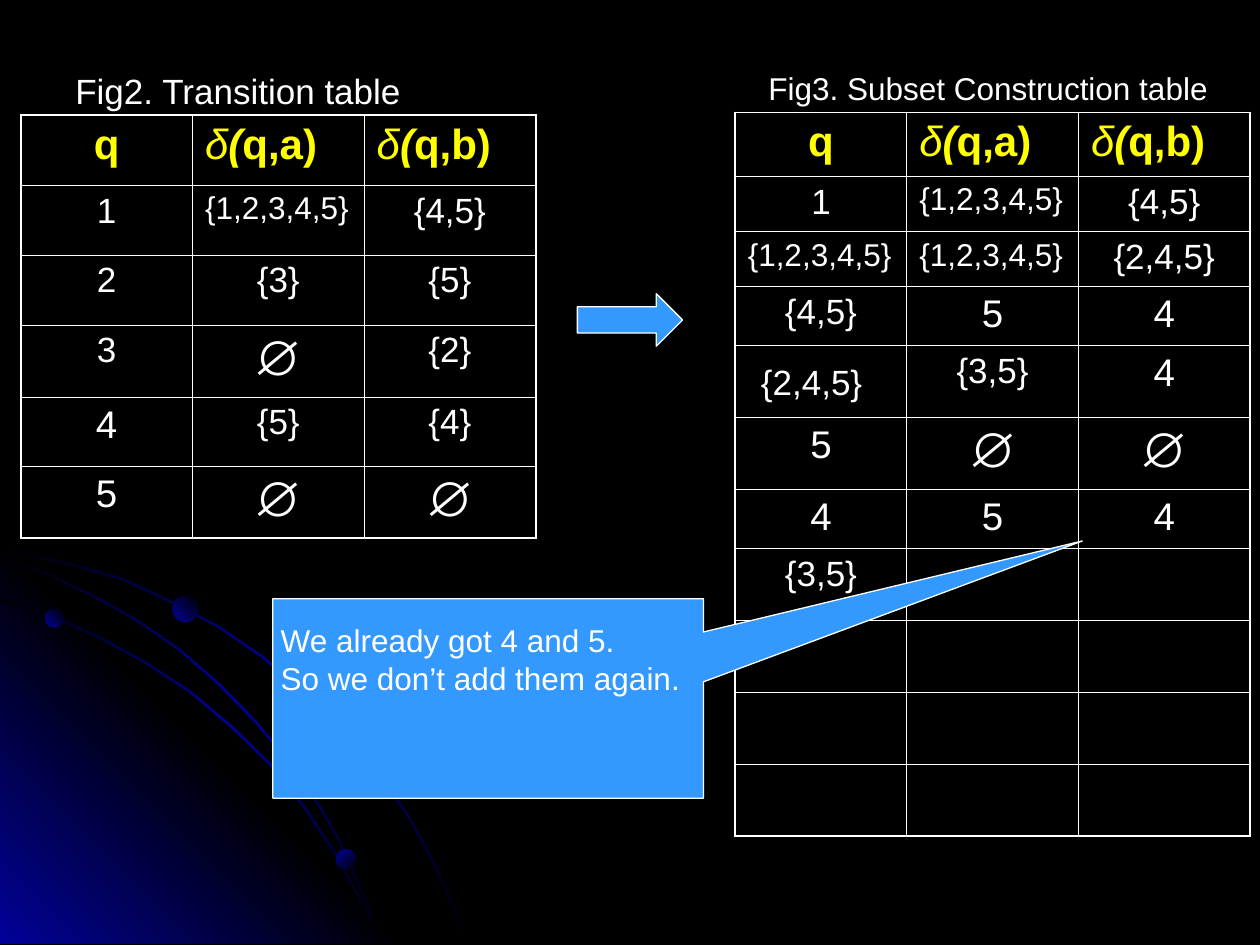
from lxml import etree
from pptx import Presentation
from pptx import util as u
from pptx.dml.color import RGBColor
from pptx.enum import shapes, text
from pptx.oxml import ns

COLORS = {"night": "000000", "glow": "010199", "ink": "FFFFFF",
          "heading": "FFFF00", "accent": "3399FF"}
FONT = "Arial"
GRID = u.Cm(0.0254)
COLUMN = 3.46
EMPTY = "∅"
FULL_SET = "{1,2,3,4,5}"
ENTRY_SIZES = {FULL_SET: 18, EMPTY: 28, "4": 22, "5": 22}
HEADINGS = ["q", "δ(q,a)", "δ(q,b)"]

TRANSITIONS = [
    ["1", FULL_SET, "{4,5}"],
    ["2", "{3}", "{5}"],
    ["3", EMPTY, "{2}"],
    ["4", "{5}", "{4}"],
    ["5", EMPTY, EMPTY],
]
SUBSETS = [
    ["1", FULL_SET, "{4,5}"],
    [FULL_SET, FULL_SET, "{2,4,5}"],
    ["{4,5}", "5", "4"],
    ["{2,4,5}", "{3,5}", "4"],
    ["5", EMPTY, EMPTY],
    ["4", "5", "4"],
    ["{3,5}", "", ""],
] + [["", "", ""]] * 3

OUTER_ARC = [(0, 435), (28, 441), (57, 447), (98, 459), (136, 477), (174, 497),
             (209, 521), (242, 548), (272, 578), (300, 611), (325, 648),
             (339, 673), (352, 698), (362, 723), (372, 749)]
LOWER_ARC = [(0, 475), (41, 488), (79, 505), (117, 526), (152, 549), (184, 576),
             (215, 606), (242, 640), (266, 676), (286, 712), (296, 730), (303, 749)]
MIDDLE_ARC = [(0, 442), (39, 455), (76, 473), (111, 493), (144, 516), (175, 543),
              (204, 573), (229, 603), (254, 639), (269, 665), (282, 693),
              (294, 720), (303, 749)]


def rgb(name):
    return RGBColor.from_string(COLORS[name])


def apply_format(target, values):
    for name, value in values.items():
        setattr(target, name, value)


def add_run(paragraph, words, size, color="ink", **extra):
    run = paragraph.add_run()
    run.text = words
    apply_format(run.font, {"name": FONT, "size": u.Pt(size), **extra})
    run.font.color.rgb = rgb(color)


def fade(shape, stops, angle):
    shape.shadow.inherit = False
    shape.line.fill.background()
    shape.fill.gradient()
    shape.fill.gradient_angle = 360 - angle
    stop_list = shape.element.spPr.find(".//" + ns.qn("a:gsLst"))
    for old_stop in list(stop_list):
        stop_list.remove(old_stop)
    for index, name in enumerate(stops):
        position = 100000 * index // (len(stops) - 1)
        stop = etree.SubElement(stop_list, ns.qn("a:gs"), pos=str(position))
        etree.SubElement(stop, ns.qn("a:srgbClr"), val=COLORS[name])


def add_outline(slide, points, stops, angle):
    builder = slide.shapes.build_freeform(*points[0], scale=GRID)
    builder.add_line_segments(points[1:], close=True)
    fade(builder.convert_to_shape(), stops, angle)


def add_arc(slide, edge):
    last = len(edge) - 1
    inner = [(x - 2 * i / last, y + 2 - 2 * i / last) for i, (x, y) in enumerate(edge)]
    add_outline(slide, edge + inner[::-1], ["night", "glow", "night"], 225)


def add_orbits(slide):
    add_arc(slide, OUTER_ARC)
    add_outline(slide, [(0, 427), (322, 749), (0, 749)], ["glow", "night", "glow"], 135)
    add_arc(slide, LOWER_ARC)
    add_arc(slide, MIDDLE_ARC)
    for left, top, size, angle in [(0.91, 12.27, 0.38, 135), (6.78, 17.12, 0.41, 225),
                                   (3.48, 12.01, 0.53, 135)]:
        planet = slide.shapes.add_shape(shapes.MSO_SHAPE.OVAL, u.Cm(left), u.Cm(top),
                                        u.Cm(size), u.Cm(size))
        fade(planet, ["night", "glow"], angle)


def add_text(slide, box, lines, size, wrap=False):
    frame = slide.shapes.add_textbox(*map(u.Cm, box)).text_frame
    fit = text.MSO_AUTO_SIZE
    apply_format(frame, {"word_wrap": wrap,
                         "auto_size": fit.NONE if wrap else fit.SHAPE_TO_FIT_TEXT})
    for index, line in enumerate(lines):
        paragraph = frame.add_paragraph() if index else frame.paragraphs[0]
        add_run(paragraph, line, size)


def add_accent(slide, kind, box, adjustments, rotation=0):
    shape = slide.shapes.add_shape(kind, *map(u.Cm, box))
    shape.rotation = rotation
    for index, value in enumerate(adjustments):
        shape.adjustments[index] = value
    shape.shadow.inherit = False
    shape.fill.solid()
    shape.fill.fore_color.rgb = rgb("accent")
    shape.line.color.rgb = rgb("ink")
    shape.line.width = u.Pt(0.75)


def draw_borders(cell, outer_sides):
    properties = cell._tc.get_or_add_tcPr()
    for side in "LRTB":
        width = u.Pt(1.08 if outer_sides[side] else 0.45)
        line = etree.SubElement(properties, ns.qn("a:ln" + side), w=str(int(width)))
        fill = etree.SubElement(line, ns.qn("a:solidFill"))
        etree.SubElement(fill, ns.qn("a:srgbClr"), val=COLORS["ink"])
    cell.fill.background()


def write_heading(paragraph, words):
    if words.startswith("δ"):
        add_run(paragraph, "δ", 24, "heading", italic=True)
        add_run(paragraph, "(", 24, "heading", bold=True, italic=True)
        words = words[2:]
    else:
        paragraph.alignment = text.PP_ALIGN.CENTER
    add_run(paragraph, words, 24, "heading", bold=True)


def write_entry(paragraph, words):
    if words != FULL_SET:
        paragraph.alignment = text.PP_ALIGN.CENTER
    if words:
        add_run(paragraph, words, ENTRY_SIZES.get(words, 20))


def add_state_table(slide, left, top, entries, heights):
    rows = [HEADINGS] + entries
    frame = slide.shapes.add_table(len(rows), 3, u.Cm(left), u.Cm(top),
                                   u.Cm(3 * COLUMN), u.Cm(sum(heights)))
    table = frame.table
    apply_format(table, {"first_row": False, "horz_banding": False})
    for column in table.columns:
        column.width = u.Cm(COLUMN)
    for r, (words, height) in enumerate(zip(rows, heights)):
        table.rows[r].height = u.Cm(height)
        for c, entry in enumerate(words):
            cell = table.cell(r, c)
            draw_borders(cell, {"L": c == 0, "R": c == 2,
                                "T": r == 0, "B": r == len(rows) - 1})
            write = write_entry if r else write_heading
            write(cell.text_frame.paragraphs[0], entry)
    return table


def main():
    deck = Presentation()
    apply_format(deck, {"slide_width": u.Cm(25.4), "slide_height": u.Cm(19.05)})
    slide = deck.slides.add_slide(deck.slide_layouts[6])
    slide.background.fill.solid()
    slide.background.fill.fore_color.rgb = rgb("night")

    add_orbits(slide)
    add_text(slide, (1.27, 1.27, 22.86, 12.57), ["Fig2. Transition table"], 20, wrap=True)
    add_state_table(slide, 0.42, 2.32, TRANSITIONS, [1.41] * 3 + [1.45, 1.4, 1.45])
    subset_table = add_state_table(slide, 14.82, 2.27, SUBSETS,
                                   [1.28, 1.11, 1.11, 1.19, 1.45, 1.45, 1.19] + [1.45] * 4)
    lowered_set = subset_table.cell(4, 0)
    apply_format(lowered_set, {"margin_left": u.Cm(0.52), "margin_top": u.Cm(0.38)})
    lowered_set.text_frame.paragraphs[0].alignment = text.PP_ALIGN.LEFT

    add_accent(slide, shapes.MSO_SHAPE.RIGHT_ARROW, (11.64, 5.92, 2.12, 1.06), [0.5, 0.5])
    add_accent(slide, shapes.MSO_SHAPE.RECTANGULAR_CALLOUT, (5.5, 12.07, 8.68, 4.02),
               [-1.38, 0.79], rotation=180)
    add_text(slide, (5.41, 12.4, 8.56, 1.78),
             ["We already got 4 and 5.", "So we don’t add them again."], 18)
    add_text(slide, (15.24, 1.27, 9.37, 1.02), ["Fig3. Subset Construction table"], 18)
    deck.save("out.pptx")


if __name__ == "__main__":
    main()
